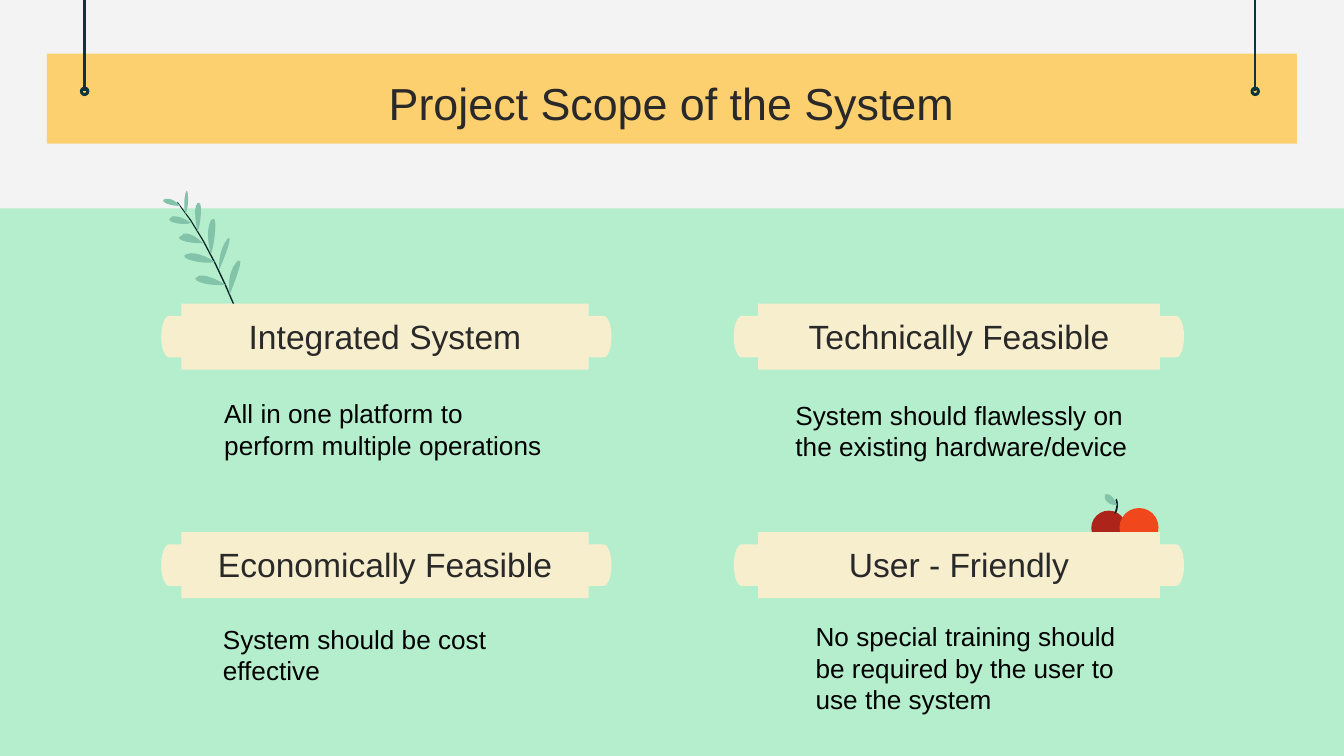
from dataclasses import dataclass
from itertools import pairwise

from lxml import etree
from pptx import Presentation
from pptx.dml.color import RGBColor
from pptx.enum.shapes import MSO_CONNECTOR, MSO_SHAPE
from pptx.enum.text import MSO_ANCHOR, MSO_AUTO_SIZE, PP_ALIGN
from pptx.oxml.ns import qn
from pptx.shapes.autoshape import Shape
from pptx.shapes.shapetree import SlideShapes
from pptx.text.text import TextFrame
from pptx.util import Emu, Pt

PX = 9144  # EMU in one px, 100 px to the inch
SLIDE_WIDTH = 1000
CURVE_STEPS = 8


@dataclass(frozen=True)
class Theme:
    font: str = "Arial"
    title_size: int = 24
    label_size: int = 18
    body_size: int = 14
    wall: str = "F3F3F3"
    ground: str = "B5EECC"
    banner: str = "FCD06F"
    plank: str = "F7EECE"
    cord: str = "0C343D"
    stem: str = "092329"
    leaf: str = "83C3A9"
    dark_fruit: str = "AD241B"
    bright_fruit: str = "F1471D"
    heading: str = "2A2929"
    body: str = "000000"


@dataclass(frozen=True)
class Box:
    left: int
    top: int
    width: int
    height: int

    def emu(self) -> tuple[Emu, ...]:
        return tuple(Emu(n * PX) for n in (self.left, self.top, self.width, self.height))


@dataclass(frozen=True)
class Column:
    cap_left: int
    plank_left: int
    plank_width: int


@dataclass(frozen=True)
class Feature:
    column: Column
    plank_top: int
    label: str
    detail: str
    detail_box: Box


@dataclass(frozen=True)
class Outline:
    """A closed outline: each step is a line end (x, y) or a cubic curve of three points."""
    color: str
    start: tuple[int, int]
    steps: tuple[tuple[int, ...], ...]


THEME = Theme()
LEFT, RIGHT = Column(120, 135, 303), Column(546, 564, 299)
UPPER, LOWER = 226, 396
CAP_GAP, CAP_DROP = 299, 9
CORDS = (63, 934)

FEATURES = (
    Feature(LEFT, UPPER, "Integrated System",
            "All in one platform to perform multiple operations", Box(157, 291, 269, 57)),
    Feature(RIGHT, UPPER, "Technically Feasible",
            "System should flawlessly on the existing hardware/device", Box(582, 292, 269, 57)),
    Feature(LEFT, LOWER, "Economically Feasible",
            "System should be cost effective", Box(156, 459, 269, 57)),
    Feature(RIGHT, LOWER, "User - Friendly",
            "No special training should be required by the user to use the system",
            Box(597, 457, 269, 81)),
)

BRANCH = (
    Outline(THEME.stem, (132, 150), ((132, 151), (159, 184, 182, 248, 182, 249),
                                     (183, 249), (183, 248, 160, 183, 132, 150))),
    Outline(THEME.leaf, (178, 194), ((177, 194, 177, 194, 176, 195),
                                     (168, 204, 171, 219, 171, 219), (171, 219, 182, 192, 178, 194))),
    Outline(THEME.leaf, (170, 177), ((170, 177, 170, 177, 169, 178),
                                     (162, 187, 163, 201, 163, 201), (163, 201, 174, 176, 170, 177))),
    Outline(THEME.leaf, (159, 163), ((158, 163, 158, 163, 157, 164),
                                     (152, 173, 157, 189, 157, 189), (159, 186, 162, 162, 159, 163))),
    Outline(THEME.leaf, (148, 151), ((148, 151, 148, 151, 147, 151),
                                     (143, 155, 147, 172, 147, 172), (149, 170, 151, 150, 148, 151))),
    Outline(THEME.leaf, (139, 142), ((139, 142, 138, 143, 138, 144),
                                     (136, 152, 138, 159, 138, 159), (141, 153, 140, 142, 139, 142))),
    Outline(THEME.leaf, (123, 148), ((117, 150, 129, 154, 134, 153), (134, 153, 129, 147, 123, 148))),
    Outline(THEME.leaf, (128, 161), ((128, 162, 127, 162, 127, 162),
                                     (122, 165, 136, 168, 142, 166), (143, 166, 134, 160, 128, 161))),
    Outline(THEME.leaf, (136, 175), ((129, 177, 136, 181, 151, 181), (151, 181, 143, 172, 136, 174))),
    Outline(THEME.leaf, (139, 189), ((131, 192, 150, 197, 160, 195), (160, 195, 147, 186, 139, 189))),
    Outline(THEME.leaf, (147, 206), ((141, 208, 152, 213, 168, 212), (168, 212, 156, 204, 148, 205))),
)

FRUITS = ((THEME.dark_fruit, Box(812, 380, 26, 26)), (THEME.bright_fruit, Box(833, 378, 29, 29)))
FRUIT_STALK = (
    Outline(THEME.stem, (830, 372), ((832, 376, 829, 382, 829, 382),
                                     (830, 382), (831, 382, 833, 376, 831, 371))),
    Outline(THEME.leaf, (822, 368), ((821, 376, 831, 376, 831, 376), (831, 376, 828, 366, 822, 368))),
)


def paint(shape: Shape, color: str) -> None:
    shape.shadow.inherit = False
    shape.fill.solid()
    shape.fill.fore_color.rgb = RGBColor.from_string(color)
    shape.line.fill.background()


def add_block(shapes: SlideShapes, kind: MSO_SHAPE, box: Box, color: str) -> Shape:
    block = shapes.add_shape(kind, *box.emu())
    paint(block, color)
    return block


def write(frame: TextFrame, text: str, size: int, color: str, align: PP_ALIGN) -> None:
    frame.word_wrap = True
    line = frame.paragraphs[0]
    line.text = text
    line.alignment = align
    line.font.name = THEME.font
    line.font.size = Pt(size)
    line.font.color.rgb = RGBColor.from_string(color)


def write_heading(frame: TextFrame, text: str, size: int, anchor: MSO_ANCHOR) -> None:
    frame.vertical_anchor = anchor
    frame.margin_top = frame.margin_bottom = Emu(10 * PX)
    write(frame, text, size, THEME.heading, PP_ALIGN.CENTER)


def curve_points(controls: list[tuple[float, float]]) -> list[tuple[float, float]]:
    """Points along a cubic curve, without its first one."""
    points = []
    for i in range(1, CURVE_STEPS + 1):
        t = i / CURVE_STEPS
        weights = ((1 - t) ** 3, 3 * t * (1 - t) ** 2, 3 * t * t * (1 - t), t ** 3)
        points.append(tuple(sum(w * c[axis] for w, c in zip(weights, controls)) for axis in (0, 1)))
    return points


def draw_outline(shapes: SlideShapes, outline: Outline) -> None:
    points = [outline.start]
    for step in outline.steps:
        ends = list(zip(step[::2], step[1::2]))
        points += ends if len(ends) == 1 else curve_points([points[-1], *ends])
    corners = [(round(x * PX), round(y * PX)) for x, y in points]
    builder = shapes.build_freeform(*corners[0], scale=1.0)
    builder.add_line_segments([b for a, b in pairwise(corners) if a != b], close=True)
    paint(builder.convert_to_shape(), outline.color)


def draw_cord(shapes: SlideShapes, x: int) -> None:
    color = RGBColor.from_string(THEME.cord)
    cord = shapes.add_connector(MSO_CONNECTOR.STRAIGHT, x * PX, 0, x * PX, 68 * PX)
    cord.line.color.rgb = color
    cord.line.width = Pt(1.25)
    etree.SubElement(cord._element.spPr, qn("a:effectLst"))
    ring = add_block(shapes, MSO_SHAPE.DONUT, Box(x - 3, 65, 6, 6), THEME.cord)
    ring.adjustments[0] = 0.2
    ring.line.color.rgb = color
    ring.line.width = Pt(0.75)


def draw_caps(shapes: SlideShapes, feature: Feature) -> None:
    for offset, rotation in ((0, 0), (CAP_GAP, 180)):
        box = Box(feature.column.cap_left + offset, feature.plank_top + CAP_DROP, 36, 31)
        add_block(shapes, MSO_SHAPE.FLOWCHART_STORED_DATA, box, THEME.plank).rotation = rotation


def draw_feature(shapes: SlideShapes, feature: Feature) -> None:
    box = Box(feature.column.plank_left, feature.plank_top, feature.column.plank_width, 49)
    plank = add_block(shapes, MSO_SHAPE.RECTANGLE, box, THEME.plank)
    write_heading(plank.text_frame, feature.label, THEME.label_size, MSO_ANCHOR.BOTTOM)
    detail = shapes.add_textbox(*feature.detail_box.emu()).text_frame
    write(detail, feature.detail, THEME.body_size, THEME.body, PP_ALIGN.LEFT)
    detail.auto_size = MSO_AUTO_SIZE.SHAPE_TO_FIT_TEXT


def main() -> None:
    deck = Presentation()
    deck.slide_width = Emu(SLIDE_WIDTH * PX)
    deck.slide_height = Emu(SLIDE_WIDTH * PX * 9 // 16)
    slide = deck.slides.add_slide(deck.slide_layouts[6])
    slide.background.fill.solid()
    slide.background.fill.fore_color.rgb = RGBColor.from_string(THEME.wall)
    shapes = slide.shapes
    add_block(shapes, MSO_SHAPE.RECTANGLE, Box(-3, 155, 1005, 408), THEME.ground)
    add_block(shapes, MSO_SHAPE.RECTANGLE, Box(35, 40, 930, 67), THEME.banner)
    for x in CORDS:
        draw_cord(shapes, x)
    title = shapes.add_textbox(*Box(150, 46, 699, 63).emu()).text_frame
    write_heading(title, "Project Scope of the System", THEME.title_size, MSO_ANCHOR.TOP)
    for color, box in FRUITS:
        add_block(shapes, MSO_SHAPE.OVAL, box, color)
    for outline in BRANCH + FRUIT_STALK:
        draw_outline(shapes, outline)
    for feature in FEATURES:
        draw_caps(shapes, feature)
        draw_feature(shapes, feature)
    deck.save("out.pptx")


if __name__ == "__main__":
    main()
